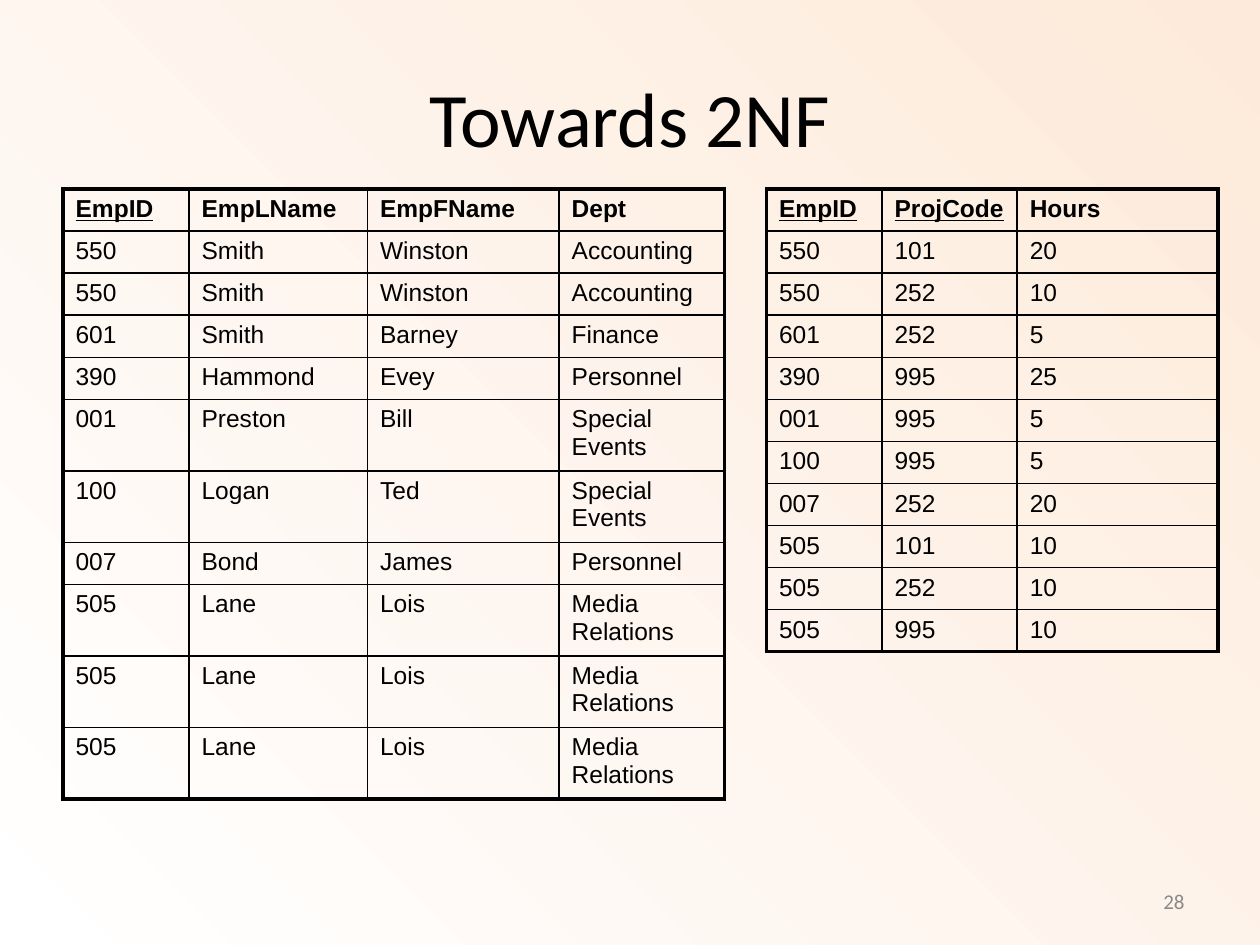
from pptx import Presentation
from pptx.dml.color import RGBColor
from pptx.enum.text import MSO_ANCHOR as Anchor, PP_ALIGN as Align
from pptx.oxml import parse_xml
from pptx.oxml.ns import nsdecls, qn
from pptx.util import Pt

BLACK = RGBColor(0x00, 0x00, 0x00)
GRAY = RGBColor(0x89, 0x89, 0x89)
WHITE = RGBColor(0xFF, 0xFF, 0xFF)
PEACH = RGBColor(0xFD, 0xEA, 0xDA)

THIN, THICK = 1, 2.25
ONE_LINE, TWO_LINES = 23, 38.6

EMPLOYEES = [
    ("EmpID", "EmpLName", "EmpFName", "Dept"),
    ("550", "Smith", "Winston", "Accounting"),
    ("550", "Smith", "Winston", "Accounting"),
    ("601", "Smith", "Barney", "Finance"),
    ("390", "Hammond", "Evey", "Personnel"),
    ("001", "Preston", "Bill", "Special Events"),
    ("100", "Logan", "Ted", "Special Events"),
    ("007", "Bond", "James", "Personnel"),
    ("505", "Lane", "Lois", "Media Relations"),
    ("505", "Lane", "Lois", "Media Relations"),
    ("505", "Lane", "Lois", "Media Relations"),
]
PROJECT_HOURS = [
    ("EmpID", "ProjCode", "Hours"),
    ("550", "101", "20"),
    ("550", "252", "10"),
    ("601", "252", "5"),
    ("390", "995", "25"),
    ("001", "995", "5"),
    ("100", "995", "5"),
    ("007", "252", "20"),
    ("505", "101", "10"),
    ("505", "252", "10"),
    ("505", "995", "10"),
]


def write_text(frame, text, *, size=14, font="Arial", color=BLACK,
               bold=False, underline=False, align=Align.LEFT):
    paragraph = frame.paragraphs[0]
    paragraph.alignment = align
    run = paragraph.add_run()
    run.text = text
    run.font.size = Pt(size)
    run.font.name = font
    run.font.color.rgb = color
    run.font.bold = bold
    run.font.underline = underline


def add_text_box(slide, left, top, width, height, text, **text_format):
    box = slide.shapes.add_textbox(Pt(left), Pt(top), Pt(width), Pt(height))
    frame = box.text_frame
    frame.word_wrap = True
    frame.vertical_anchor = Anchor.MIDDLE
    write_text(frame, text, **text_format)


def set_background(slide):
    """Radial gradient, white in the lower left corner."""
    fill = slide.background.fill
    fill.gradient()
    for stop, color in zip(fill.gradient_stops, (WHITE, PEACH)):
        stop.color.rgb = color
    gradient = slide.element.find(".//" + qn("a:gradFill"))
    gradient.replace(gradient.find(qn("a:lin")), parse_xml(
        f'<a:path {nsdecls("a")} path="circle">'
        '<a:fillToRect t="100000" r="100000"/></a:path>'))


def set_borders(cell, widths):
    properties = cell._tc.get_or_add_tcPr()
    for side, width in widths.items():
        properties.append(parse_xml(
            f'<a:ln{side} {nsdecls("a")} w="{Pt(width)}">'
            f'<a:solidFill><a:srgbClr val="{BLACK}"/></a:solidFill></a:ln{side}>'))


def add_grid(slide, left, top, column_widths, rows, key_columns):
    row_heights = [TWO_LINES if " " in row[-1] else ONE_LINE for row in rows]
    frame = slide.shapes.add_table(
        len(rows), len(column_widths), Pt(left), Pt(top),
        Pt(sum(column_widths)), Pt(sum(row_heights)))
    table = frame.table
    table.first_row = table.horz_banding = False
    for column, width in zip(table.columns, column_widths):
        column.width = Pt(width)
    last_row, last_column = len(rows) - 1, len(column_widths) - 1
    for r, values in enumerate(rows):
        table.rows[r].height = Pt(row_heights[r])
        for c, value in enumerate(values):
            cell = table.cell(r, c)
            write_text(cell.text_frame, value, bold=r == 0,
                       underline=r == 0 and c < key_columns)
            # Thick outer frame, thin inner lines
            outer = {"L": c == 0, "R": c == last_column,
                     "T": r == 0, "B": r == last_row}
            set_borders(cell, {side: THICK if edge else THIN
                               for side, edge in outer.items()})
            cell.fill.background()


def main():
    presentation = Presentation()
    presentation.slide_width, presentation.slide_height = Pt(720), Pt(540)
    slide = presentation.slides.add_slide(presentation.slide_layouts[6])
    set_background(slide)

    # Title
    add_text_box(slide, 36, 21.6, 648, 90, "Towards 2NF",
                 size=44, font="Calibri", align=Align.CENTER)

    # Tables
    add_grid(slide, 36, 108, (72, 102, 109.5, 94.5), EMPLOYEES, key_columns=1)
    add_grid(slide, 438, 108, (66, 77.25, 114.75), PROJECT_HOURS, key_columns=2)

    # Slide number
    add_text_box(slide, 516, 500.5, 168, 28.75, "28",
                 size=12, font="Calibri", color=GRAY, align=Align.RIGHT)

    presentation.save("out.pptx")


if __name__ == "__main__":
    main()
